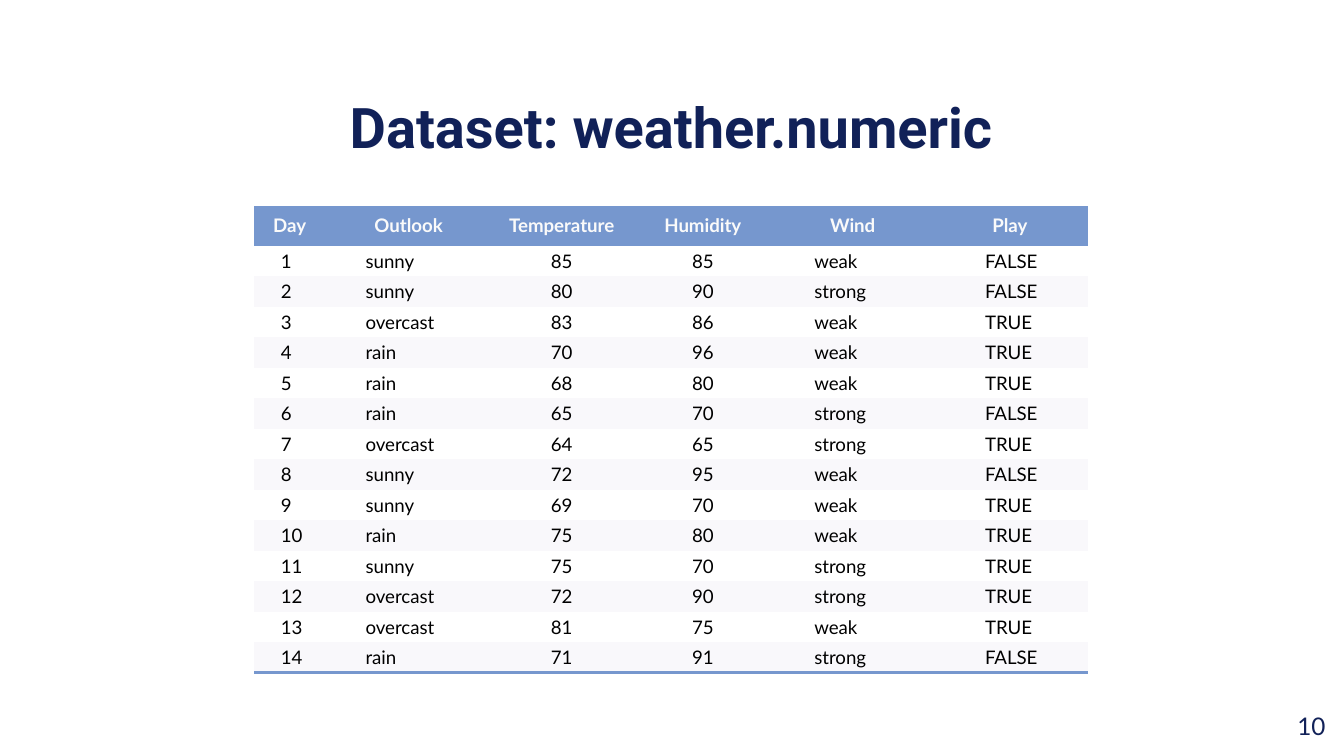
from lxml import etree
from pptx import Presentation
from pptx import util as u
from pptx.dml import color
from pptx.enum import text
from pptx.oxml import ns

BLUE, NAVY, BAND = "7697CE", "112158", "F9F8FB"
HEAD = ["Day", "Outlook", "Temperature", "Humidity", "Wind", "Play"]
DATA = """sunny 85 85 weak FALSE
sunny 80 90 strong FALSE
overcast 83 86 weak TRUE
rain 70 96 weak TRUE
rain 68 80 weak TRUE
rain 65 70 strong FALSE
overcast 64 65 strong TRUE
sunny 72 95 weak FALSE
sunny 69 70 weak TRUE
rain 75 80 weak TRUE
sunny 75 70 strong TRUE
overcast 72 90 strong TRUE
overcast 81 75 weak TRUE
rain 71 91 strong FALSE"""
WIDTHS = [38.16, 89.28, 74.88, 76.32, 84.24, 84.24]
INDENTS = [14.4, 21.6, None, None, 21.6, 28.8]
PLAIN = "{2D5ABB26-0587-4C30-8999-92F81FD0307C}"


def paint(part, hue):
    """Give a font or a solid fill its colour."""
    target = part.color if hasattr(part, "color") else part.fore_color
    target.rgb = color.RGBColor.from_string(hue)


def write(frame, words, size, face, hue, align, bold=False):
    """Write one formatted paragraph."""
    para = frame.paragraphs[0]
    para.text = words
    para.alignment = align
    font = para.font
    font.size, font.name, font.bold = u.Pt(size), face, bold
    paint(font, hue)


def place(shape, left, top, width, height):
    """Set the box, insets and anchor of a text shape."""
    shape.left, shape.top = u.Pt(left), u.Pt(top)
    shape.width, shape.height = u.Pt(width), u.Pt(height)
    frame = shape.text_frame
    frame.word_wrap = True
    frame.auto_size = text.MSO_AUTO_SIZE.NONE
    frame.vertical_anchor = text.MSO_ANCHOR.TOP
    frame.margin_left = frame.margin_right = u.Pt(7.2)
    frame.margin_top = frame.margin_bottom = u.Pt(7.2)
    return frame


def rule(cell, hue, width):
    """Draw the bottom border of a cell."""
    line = etree.Element(ns.qn("a:lnB"), w=str(u.Pt(width)))
    fill = etree.SubElement(line, ns.qn("a:solidFill"))
    etree.SubElement(fill, ns.qn("a:srgbClr"), val=hue)
    cell._tc.get_or_add_tcPr().insert(0, line)


def fill_cell(cell, words, hue, indent, head):
    """Fill one table cell; centre it where no indent is given."""
    cell.vertical_anchor = text.MSO_ANCHOR.MIDDLE
    cell.margin_left, cell.margin_right = u.Pt(indent or 7.2), u.Pt(7.2)
    cell.margin_top = cell.margin_bottom = u.Pt(2.16)
    if hue:
        cell.fill.solid()
        paint(cell.fill, hue)
    else:
        cell.fill.background()
    align = text.PP_ALIGN.LEFT if indent else text.PP_ALIGN.CENTER
    ink = "FAFAFA" if head else "000000"
    write(cell.text_frame, words, 10, "Lato", ink, align, head)


def add_grid(slide):
    """Add the weather table."""
    rows = [HEAD] + [[str(day)] + line.split()
                     for day, line in enumerate(DATA.splitlines(), 1)]
    grid = slide.shapes.add_table(len(rows), len(HEAD), u.Pt(136.08), u.Pt(110.16),
                                  u.Pt(sum(WIDTHS)), u.Pt(236.16)).table
    grid.horz_banding = False
    grid._tbl.tblPr.find(ns.qn("a:tableStyleId")).text = PLAIN
    for col, width in zip(grid.columns, WIDTHS):
        col.width = u.Pt(width)
    for i, row in enumerate(rows):
        head = i == 0
        grid.rows[i].height = u.Pt(21.6 if head else 12.24)
        hue = BLUE if head else None if i % 2 else BAND
        for j, words in enumerate(row):
            fill_cell(grid.cell(i, j), words, hue, None if head else INDENTS[j], head)
    for cell in grid.rows[len(rows) - 1].cells:
        rule(cell, BLUE, 1.5)


def main():
    """Build the slide and save it."""
    deck = Presentation()
    deck.slide_width, deck.slide_height = u.Pt(720), u.Pt(405)
    slide = deck.slides.add_slide(deck.slide_layouts[5])
    title = place(slide.shapes.title, 56.16, 42.48, 606.96, 45.36)
    write(title, "Dataset: weather.numeric", 30, "Roboto", NAVY,
          text.PP_ALIGN.CENTER, True)
    add_grid(slide)
    number = place(slide.shapes.add_textbox(0, 0, 0, 0), 673.92, 373.68, 43.2, 30.96)
    write(number, "10", 13, "Lato", NAVY, text.PP_ALIGN.RIGHT)
    deck.save("out.pptx")


if __name__ == "__main__":
    main()
